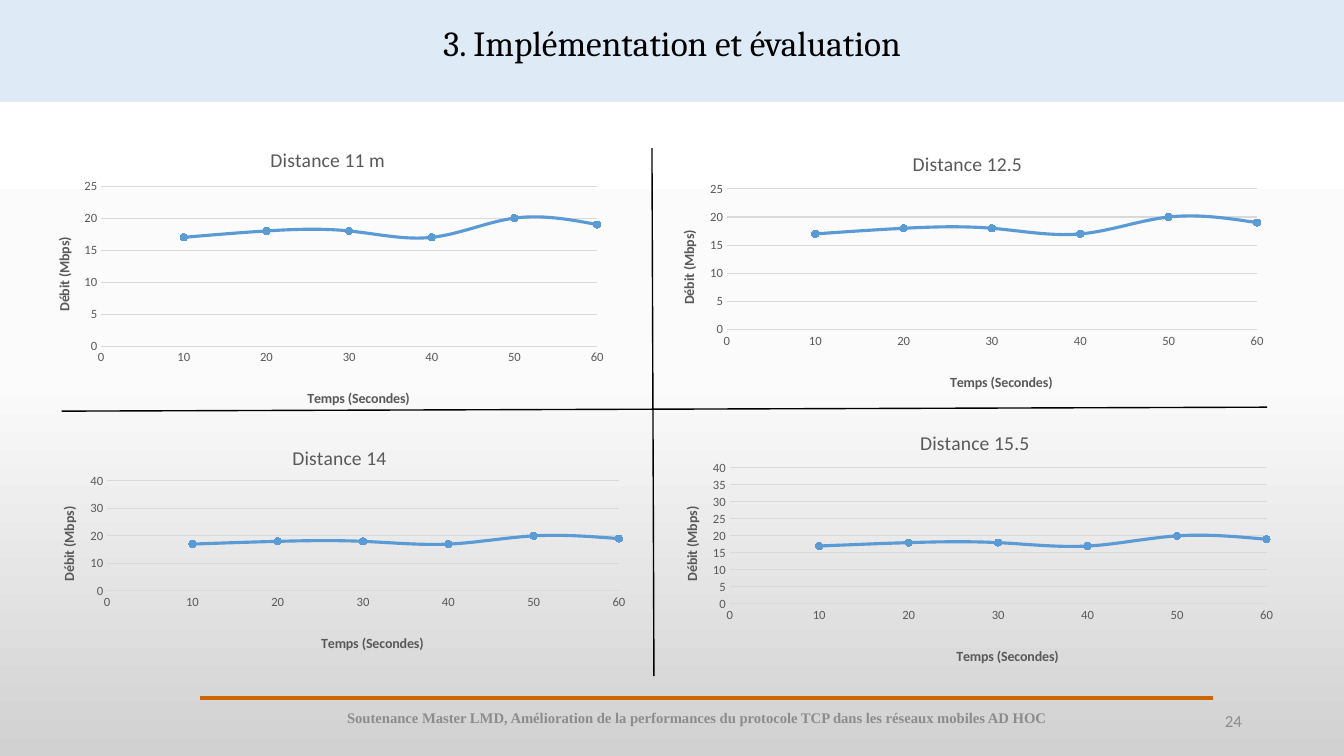
"""Builds the slide with throughput over time at four distances."""
from copy import deepcopy

from lxml.etree import SubElement
from pptx import Presentation
from pptx.chart.data import XyChartData
from pptx.dml.color import RGBColor
from pptx.enum.chart import XL_CHART_TYPE, XL_MARKER_STYLE, XL_TICK_MARK
from pptx.enum.shapes import MSO_CONNECTOR, MSO_SHAPE
from pptx.enum.text import MSO_ANCHOR, PP_ALIGN
from pptx.oxml import parse_xml
from pptx.oxml.ns import nsdecls, qn
from pptx.util import Cm, Pt

COLORS = {
    "black": "000000", "band": "DEEBF7", "footer": "8C8C8C", "rule": "CC6600",
    "curve": "5B9BD5", "label": "595959", "grid": "D9D9D9",
}
BACKGROUND = [(0, "FFFFFF"), (0.5, "FBFBFB"), (1, "D1D1D1")]
SECONDS = [10, 20, 30, 40, 50, 60]
MBPS = [17, 18, 18, 17, 20, 19]
DISTANCES = [
    ("Distance 11 m", (0.74, 3.18, 14.78, 7.26), (2.55, 4.69, 12.5, 4.04), 25, 5),
    ("Distance 12.5", (16.48, 3.28, 15.67, 6.73), (18.32, 4.76, 13.36, 3.55), 25, 5),
    ("Distance 14", (0.86, 10.69, 15.21, 5.84), (2.7, 12.12, 12.9, 2.77), 40, 10),
    ("Distance 15.5", (16.56, 10.31, 15.88, 6.6), (18.39, 11.79, 13.53, 3.43), 40, 5),
]


def color(name):
    return RGBColor.from_string(COLORS[name])


class Slide:
    """Holds the current slide and draws styled elements on it."""

    def __init__(self, slide):
        self.slide = slide
        self.shapes = slide.shapes

    def background(self, stops):
        fill = self.slide.background.fill
        fill.gradient()
        fill.gradient_angle = 270
        first = self.slide.background._cSld.find(".//" + qn("a:gs"))
        first.addnext(deepcopy(first))
        for stop, (position, shade) in zip(fill.gradient_stops, stops):
            stop.position = position
            stop.color.rgb = RGBColor.from_string(shade)

    def style(self, font, size, shade, name="Calibri", bold=False):
        font.size, font.name, font.bold = Pt(size), name, bold
        font.color.rgb = color(shade)

    def fill_frame(self, frame, text, align, size, shade, name, bold=False):
        frame.word_wrap = True
        frame.vertical_anchor = MSO_ANCHOR.MIDDLE
        paragraph = frame.paragraphs[0]
        paragraph.text = text
        paragraph.alignment = align
        self.style(paragraph.font, size, shade, name, bold)

    def text(self, box, *content):
        self.fill_frame(self.shapes.add_textbox(*map(Cm, box)).text_frame, *content)

    def band(self, box, *content):
        band = self.shapes.add_shape(MSO_SHAPE.RECTANGLE, *map(Cm, box))
        band.shadow.inherit = False
        band.fill.solid()
        band.fill.fore_color.rgb = color("band")
        band.line.fill.background()
        band.text_frame.margin_bottom = Cm(0.25)
        self.fill_frame(band.text_frame, *content)

    def line(self, ends, shade, width):
        line = self.shapes.add_connector(MSO_CONNECTOR.STRAIGHT, *map(Cm, ends))
        line.line.color.rgb = color(shade)
        line.line.width = Pt(width)
        SubElement(line._element.spPr, qn("a:effectLst"))

    def place(self, element, frame, box, sized=False):
        layout = element.find(qn("c:layout"))
        if layout is None:
            layout = parse_xml(f"<c:layout {nsdecls('c')}/>")
            element.insert(0, layout)
        manual = SubElement(layout, qn("c:manualLayout"))
        left, top, width, height = frame
        values = [("xMode", "edge"), ("yMode", "edge"),
                  ("x", (box[0] - left) / width), ("y", (box[1] - top) / height)]
        if sized:
            values = [("layoutTarget", "inner"), *values,
                      ("w", box[2] / width), ("h", box[3] / height)]
        for tag, value in values:
            SubElement(manual, qn("c:" + tag)).set("val", str(value))

    def title(self, owner, text, size, bold, frame, center, extent):
        owner.text_frame.text = text
        self.style(owner.text_frame.paragraphs[0].font, size, "label", bold=bold)
        corner = [middle - length / 2 for middle, length in zip(center, extent)]
        self.place(owner._element, frame, corner)

    def axis(self, axis, maximum, unit):
        axis.minimum_scale, axis.maximum_scale, axis.major_unit = 0, maximum, unit
        axis.major_tick_mark = axis.minor_tick_mark = XL_TICK_MARK.NONE
        self.style(axis.tick_labels.font, 9, "label")

    def chart(self, name, frame, plot, maximum, unit):
        data = XyChartData()
        series = data.add_series("Series 1")
        for second, rate in zip(SECONDS, MBPS):
            series.add_data_point(second, rate)
        chart = self.shapes.add_chart(
            XL_CHART_TYPE.XY_SCATTER_SMOOTH, *map(Cm, frame), data).chart
        self.style(chart.font, 10, "black")
        chart.has_legend = False
        chart._chartSpace.find(qn("c:chart")).addnext(parse_xml(
            f"<c:spPr {nsdecls('c', 'a')}><a:noFill/><a:ln><a:noFill/></a:ln></c:spPr>"))
        chart.plots[0].vary_by_categories = False

        time, rate = chart.category_axis, chart.value_axis
        self.axis(time, 60, 10)
        self.axis(rate, maximum, unit)
        time.has_major_gridlines = False
        rate.has_major_gridlines = True
        rate.format.line.fill.background()
        for line in (time.format.line, rate.major_gridlines.format.line):
            line.color.rgb = color("grid")
            line.width = Pt(0.75)

        curve = chart.plots[0].series[0]
        curve._element.get_or_add_smooth().val = True
        curve.format.line.color.rgb = color("curve")
        curve.format.line.width = Pt(2.25)
        curve.marker.style, curve.marker.size = XL_MARKER_STYLE.CIRCLE, 5
        curve.marker.format.fill.solid()
        curve.marker.format.fill.fore_color.rgb = color("curve")
        curve.marker.format.line.color.rgb = color("curve")

        left, top, width, height = plot
        chart.has_title = True
        self.title(chart.chart_title, name, 14, False, frame,
                   (frame[0] + frame[2] / 2, frame[1] + 0.71), (0.216 * len(name), 0.6))
        self.title(time.axis_title, "Temps (Secondes)", 10, True, frame,
                   (left + width / 2 + 0.18, top + height + 1.24), (2.6, 0.43))
        self.title(rate.axis_title, "Débit (Mbps)", 10, True, frame,
                   (frame[0] + 0.8, top + height / 2 + 0.15), (0.43, 1.9))
        turned = rate.axis_title._element.find(".//" + qn("a:bodyPr"))
        turned.set("rot", "-5400000")
        turned.set("vert", "horz")
        self.place(chart._chartSpace.find(".//" + qn("c:plotArea")), frame, plot, True)


def main():
    deck = Presentation()
    deck.slide_width, deck.slide_height = Cm(33.87), Cm(19.05)
    page = Slide(deck.slides.add_slide(deck.slide_layouts[6]))
    page.background(BACKGROUND)
    page.text((4.52, 17.58, 26.09, 1.02),
              "Soutenance Master LMD, Amélioration de la performances du protocole TCP "
              "dans les réseaux mobiles AD HOC",
              PP_ALIGN.CENTER, 10.5, "footer", "Times New Roman", True)
    page.text((23.93, 17.65, 7.62, 1.02), "24", PP_ALIGN.RIGHT, 12, "footer", "Calibri")
    page.line((5.05, 17.58, 30.58, 17.58), "rule", 3)
    for distance in DISTANCES:
        page.chart(*distance)
    page.line((16.43, 3.73, 16.48, 17.04), "black", 1)
    page.line((1.55, 10.36, 31.93, 10.26), "black", 1)
    page.band((0, -0.33, 33.87, 2.9), "3. Implémentation et évaluation",
              PP_ALIGN.CENTER, 25.2, "black", "Cambria")
    deck.save("out.pptx")


if __name__ == "__main__":
    main()
